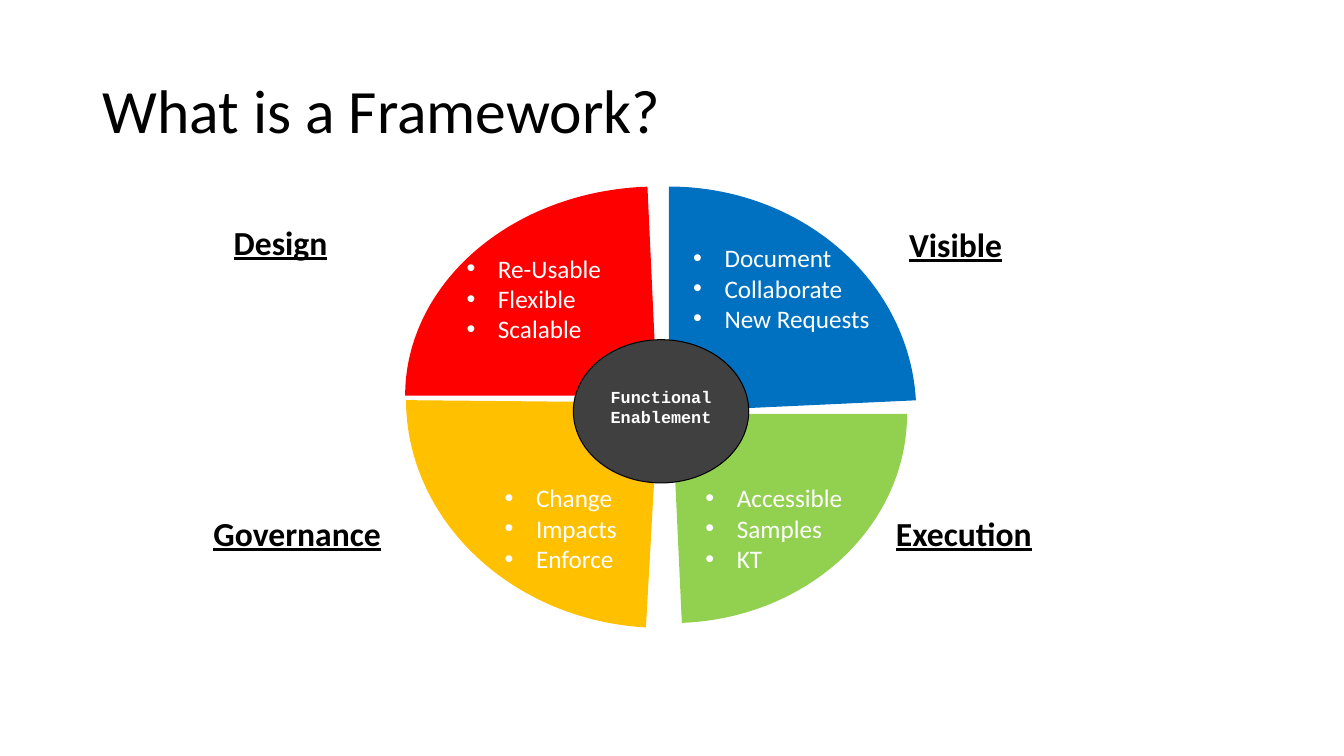
from lxml.etree import SubElement
from pptx import Presentation
from pptx.dml.color import RGBColor
from pptx.enum.shapes import MSO_SHAPE as Shape
from pptx.enum.text import MSO_ANCHOR as Anchor, MSO_AUTO_SIZE as Fit, PP_ALIGN as Align
from pptx.oxml.ns import qn
from pptx.util import Cm, Pt


def colour(code):
    return RGBColor.from_string(code)


def apply(target, values):
    for name, value in values.items():
        setattr(target, name, value)


class Painter:
    """Draws the elements of one page in a shared style."""

    title = {"name": "Calibri", "size": Pt(44)}
    label = {"name": "Calibri", "size": Pt(24), "bold": True, "underline": True}
    item = {"name": "Calibri", "size": Pt(18)}
    core = {"name": "Courier New", "size": Pt(12), "bold": True}
    snug = {"word_wrap": False, "auto_size": Fit.SHAPE_TO_FIT_TEXT}

    def __init__(self, page):
        self.page = page

    def add_span(self, para, words, style, code):
        span = para.add_run()
        span.text = words
        apply(span.font, style)
        span.font.color.rgb = colour(code)

    def text(self, area, lines, style, code, frame):
        box = self.page.shapes.add_textbox(*map(Cm, area)).text_frame
        apply(box, frame)
        for number, words in enumerate(lines):
            para = box.add_paragraph() if number else box.paragraphs[0]
            self.add_span(para, words, style, code)
        return box

    def heading(self, area, words):
        frame = {"word_wrap": True, "vertical_anchor": Anchor.MIDDLE}
        box = self.text(area, [words], self.title, "000000", frame)
        box.paragraphs[0].line_spacing = 0.9

    def bullets(self, area, lines):
        for para in self.text(area, lines, self.item, "FFFFFF", self.snug).paragraphs:
            props = para._p.get_or_add_pPr()
            props.set("marL", str(Cm(0.79)))
            props.set("indent", str(-Cm(0.79)))
            SubElement(props, qn("a:buFont")).set("typeface", "Arial")
            SubElement(props, qn("a:buChar")).set("char", "•")

    def shape(self, kind, area, code):
        shape = self.page.shapes.add_shape(kind, *map(Cm, area))
        shape.shadow.inherit = False
        shape.fill.solid()
        shape.fill.fore_color.rgb = colour(code)
        shape.line.fill.background()
        return shape

    def quarter(self, area, turn, code):
        pie = self.shape(Shape.PIE, area, code)
        pie.adjustments[0], pie.adjustments[1] = 0, 52.41
        pie.rotation = turn

    def hub(self, area, words):
        disc = self.shape(Shape.OVAL, area, "404040")
        disc.line.color.rgb = colour("000000")
        disc.line.width = Pt(0.75)
        apply(disc.text_frame, {"word_wrap": True, "vertical_anchor": Anchor.MIDDLE,
                                "margin_bottom": Cm(0.33)})
        para = disc.text_frame.paragraphs[0]
        para.alignment = Align.CENTER
        self.add_span(para, words, self.core, "FFFFFF")


QUARTERS = [
    ("Design", (5.64, 5.46, 3.02), (10.21, 4.7, 12.7, 10.54), 180, "FF0000",
     (11.51, 6.25, 4.04), ["Re-Usable", "Flexible", "Scalable"]),
    ("Governance", (5.13, 12.8, 4.88), (10.92, 3.78, 11.35, 12.73), 93.2, "FFC000",
     (12.47, 12.04, 3.48), ["Change", "Impacts", "Enforce"]),
    ("Visible", (22.66, 5.51, 2.92), (11.18, 4.14, 11.35, 12.47), 270, "0070C0",
     (17.22, 5.99, 5.21), ["Document", "Collaborate", "New Requests"]),
    ("Execution", (22.33, 12.8, 4.17), (11.02, 5.16, 11.84, 10.54), 0, "92D050",
     (17.53, 12.04, 4.11), ["Accessible", "Samples", "KT"]),
]

deck = Presentation()
apply(deck, {"slide_width": Cm(33.87), "slide_height": Cm(19.05)})
painter = Painter(deck.slides.add_slide(deck.slide_layouts[6]))
painter.heading((2.34, 1.02, 29.21, 3.68), "What is a Framework?")
for name, name_area, pie_area, turn, code, list_area, items in QUARTERS:
    painter.quarter(pie_area, turn, code)
    painter.text((*name_area, 1.27), [name], painter.label, "000000", painter.snug)
    painter.bullets((*list_area, 2.57), items)
painter.hub((14.45, 8.56, 4.42, 3.61), "Functional Enablement")
deck.save("out.pptx")
